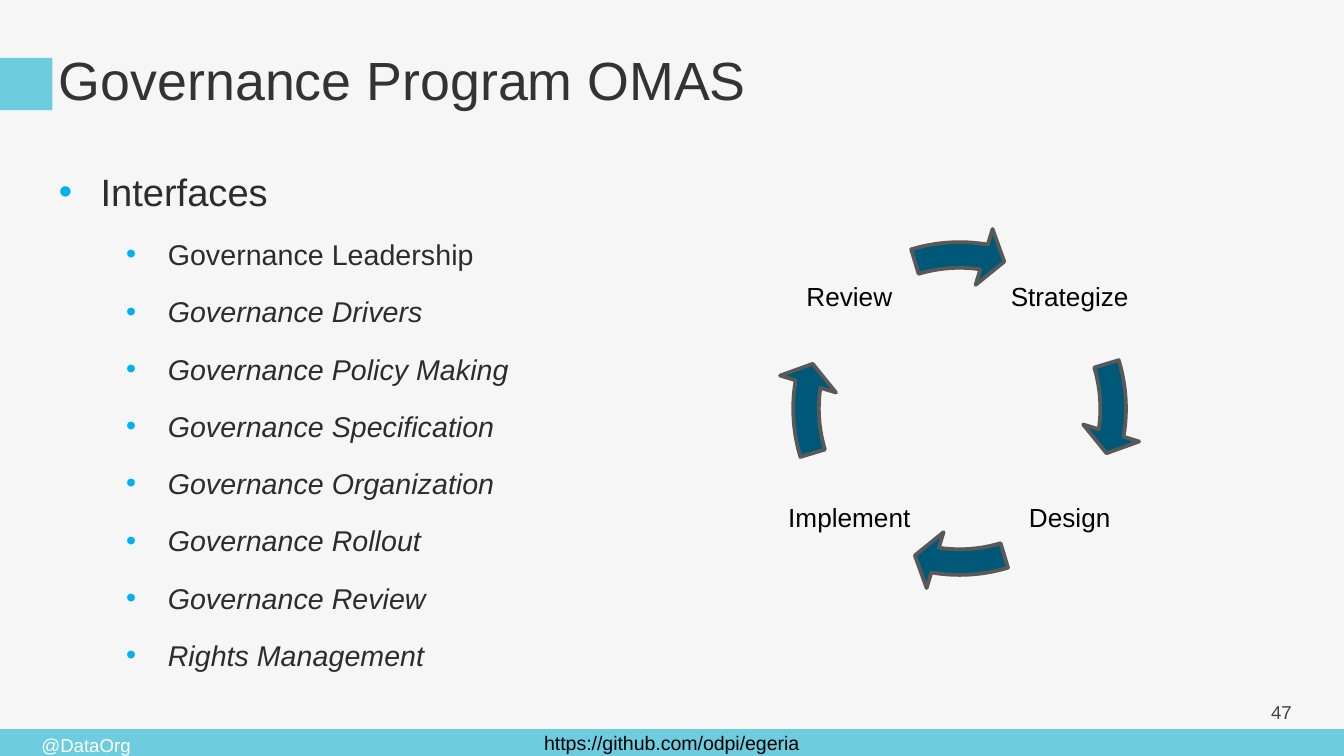
"""Build the Governance Program OMAS slide: interface list and governance cycle."""
import lxml.etree
import pptx
import pptx.dml.color
import pptx.enum.shapes
import pptx.enum.text
import pptx.oxml.ns
import pptx.util

W = 10
H = W * 9 / 16
FONT = "Arial"
TEAL, NAVY, GREY, BULLET = "6DCCDE", "005878", "595959", "00B0F0"
BODY = "2C2C2C"
HEADING = "Interfaces"
INTERFACES = [
    ("Governance Leadership", False),
    ("Governance Drivers", True),
    ("Governance Policy Making", True),
    ("Governance Specification", True),
    ("Governance Organization", True),
    ("Governance Rollout", True),
    ("Governance Review", True),
    ("Rights Management", True),
]
STAGES = [("Strategize", 1, 0), ("Design", 1, 1), ("Implement", 0, 1), ("Review", 0, 0)]
GRID_LEFT, GRID_TOP, GRID_STEP, LABEL = 5.84, 1.74, 1.64, 0.96
RING = (5.78, 1.68, 2.72, 2.72)
DEGREE = 0.6
ANCHOR = pptx.enum.text.MSO_ANCHOR
ALIGN = pptx.enum.text.PP_ALIGN
SHAPE = pptx.enum.shapes.MSO_SHAPE


def rgb(value):
    return pptx.dml.color.RGBColor.from_string(value)


def inches(box):
    return [pptx.util.Inches(v) for v in box]


def add_shape(s, kind, box, fill, line=None):
    sp = s.shapes.add_shape(kind, *inches(box))
    sp.shadow.inherit = False
    sp.fill.solid()
    sp.fill.fore_color.rgb = rgb(fill)
    if line:
        sp.line.color.rgb = rgb(line)
        sp.line.width = pptx.util.Pt(2)
    else:
        sp.line.fill.background()
    return sp


def set_frame(sp, inset_x=0.1, inset_y=0.1, anchor=ANCHOR.TOP, wrap=True):
    tf = sp.text_frame
    tf.margin_left = tf.margin_right = pptx.util.Inches(inset_x)
    tf.margin_top = tf.margin_bottom = pptx.util.Inches(inset_y)
    tf.vertical_anchor = anchor
    tf.word_wrap = wrap
    return tf


def add_run(p, text, size, color, italic=False, align=ALIGN.LEFT):
    p.alignment = align
    r = p.add_run()
    r.text = text
    r.font.name = FONT
    r.font.size = pptx.util.Pt(size)
    r.font.color.rgb = rgb(color)
    if italic:
        r.font.italic = True


def add_text(s, box, text, size, color, align=ALIGN.LEFT, **frame):
    tf = set_frame(s.shapes.add_textbox(*inches(box)), **frame)
    p = tf.paragraphs[0]
    add_run(p, text, size, color, align=align)
    return p


def add_bullet(p, text, size, level, italic=False):
    qn = pptx.oxml.ns.qn
    pPr = p._p.get_or_add_pPr()
    pPr.set("marL", str(pptx.util.Inches(0.31 + 0.5 * level)))
    pPr.set("indent", str(pptx.util.Inches(-0.31)))
    color = lxml.etree.SubElement(pPr, qn("a:buClr"))
    lxml.etree.SubElement(color, qn("a:srgbClr"), val=BULLET)
    lxml.etree.SubElement(pPr, qn("a:buFont"), typeface=FONT)
    lxml.etree.SubElement(pPr, qn("a:buChar"), char="•")
    p.level = level
    p.line_spacing = 0.8
    p.space_after = pptx.util.Pt(16)
    add_run(p, text, size, BODY, italic)


def add_list(s):
    tf = set_frame(s.shapes.add_textbox(*inches((0.34, 1.22, 3.98, 3.86))))
    add_bullet(tf.paragraphs[0], HEADING, 20.4, 0)
    for text, italic in INTERFACES:
        add_bullet(tf.add_paragraph(), text, 15.3, 1, italic)


def add_cycle(s):
    for i, (name, col, row) in enumerate(STAGES):
        box = (GRID_LEFT + col * GRID_STEP, GRID_TOP + row * GRID_STEP, LABEL, LABEL)
        p = add_text(s, box, name, 14, "000000", ALIGN.CENTER,
                     inset_x=0.02, inset_y=0.02, anchor=ANCHOR.MIDDLE)
        p.line_spacing = 0.9
        arrow = add_shape(s, SHAPE.CIRCULAR_ARROW, RING, NAVY, GREY)
        end, start = ((angle + 90 * i) % 360 for angle in (9.17, 343.08))
        values = (0.07, 7.75 * DEGREE, end * DEGREE, start * DEGREE, 0.08)
        for k, value in enumerate(values):
            arrow.adjustments[k] = value


def main():
    prs = pptx.Presentation()
    prs.slide_width, prs.slide_height = inches((W, H))
    s = prs.slides.add_slide(prs.slide_layouts[6])
    s.background.fill.solid()
    s.background.fill.fore_color.rgb = rgb("F6F6F6")
    footer = add_shape(s, SHAPE.RECTANGLE, (0, H - 0.2, W, 0.2), TEAL)
    tf = set_frame(footer, inset_y=0.05, anchor=ANCHOR.MIDDLE)
    add_run(tf.paragraphs[0], "https://github.com/odpi/egeria", 10.5, "000000",
            align=ALIGN.CENTER)
    add_text(s, (0.21, 5.41, 0.91, 0.27), "@DataOrg", 10, "FFFFFF",
             inset_y=0.05, wrap=False)
    add_shape(s, SHAPE.RECTANGLE, (0, 0.43, 0.39, 0.39), TEAL)
    add_text(s, (0.34, 0.25, 9.32, 0.62), "Governance Program OMAS", 28.8, "333333")
    add_text(s, (9.36, 5.08, 0.6, 0.43), "47", 10, "434343", anchor=ANCHOR.MIDDLE)
    add_list(s)
    add_cycle(s)
    prs.save("out.pptx")


if __name__ == "__main__":
    main()
